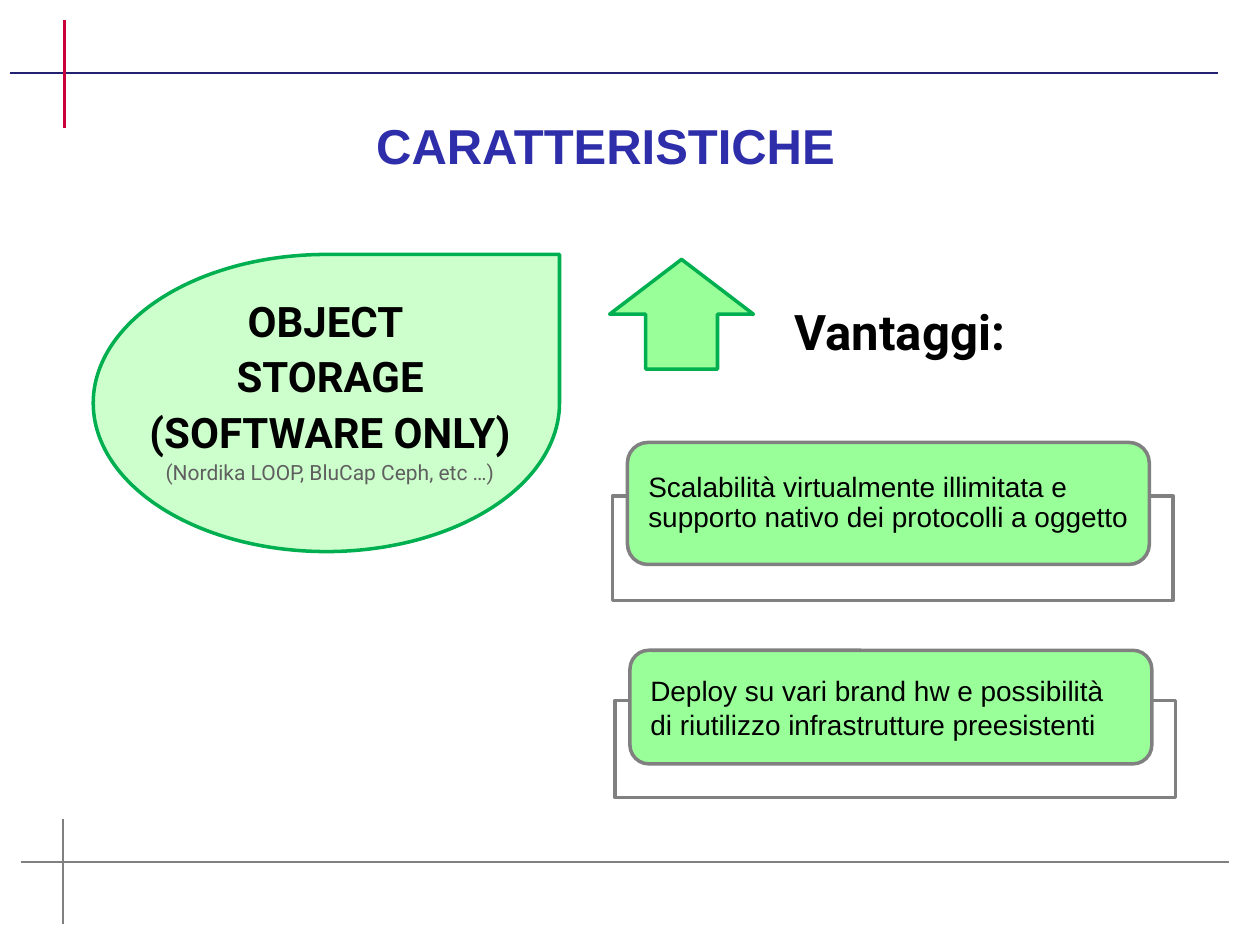
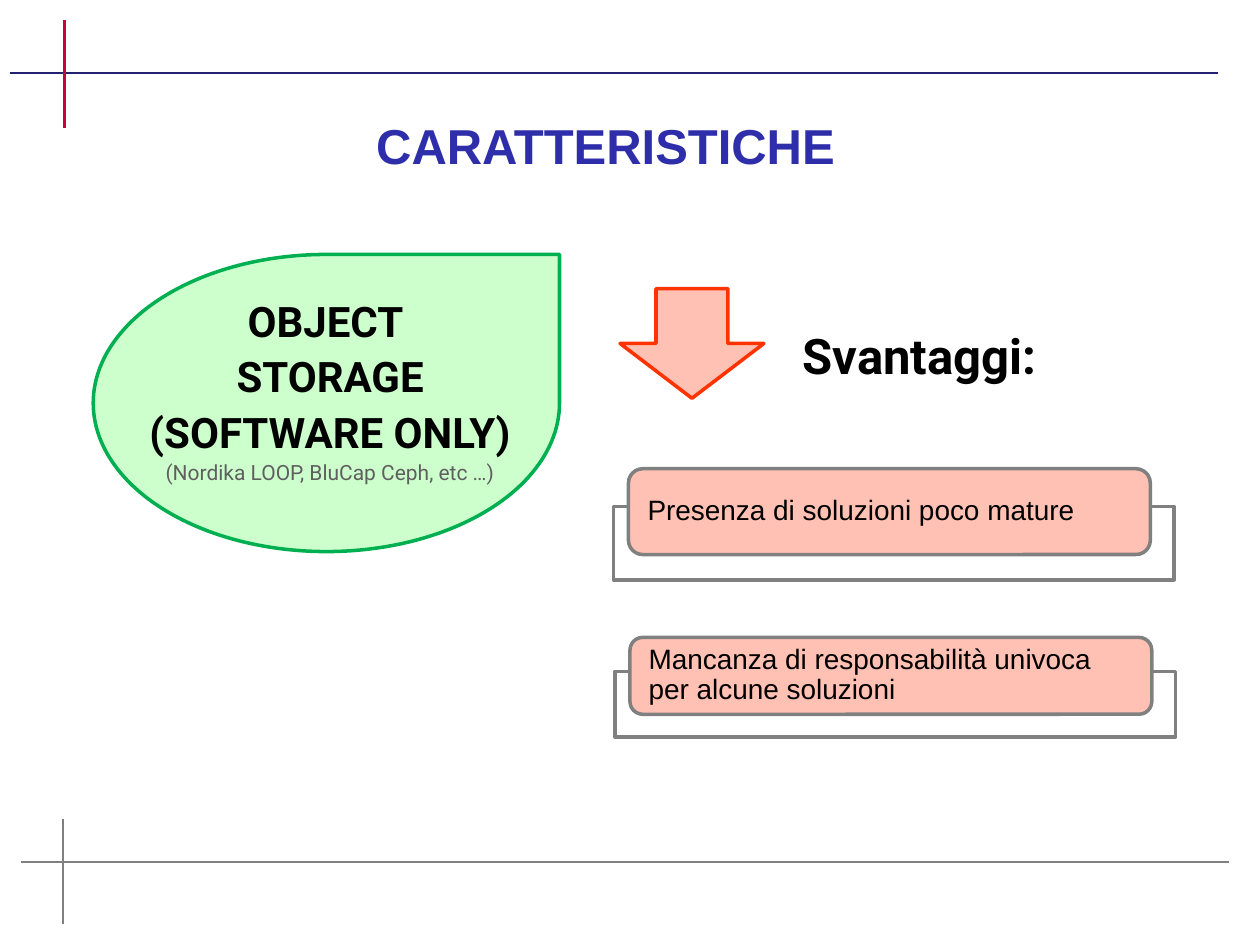
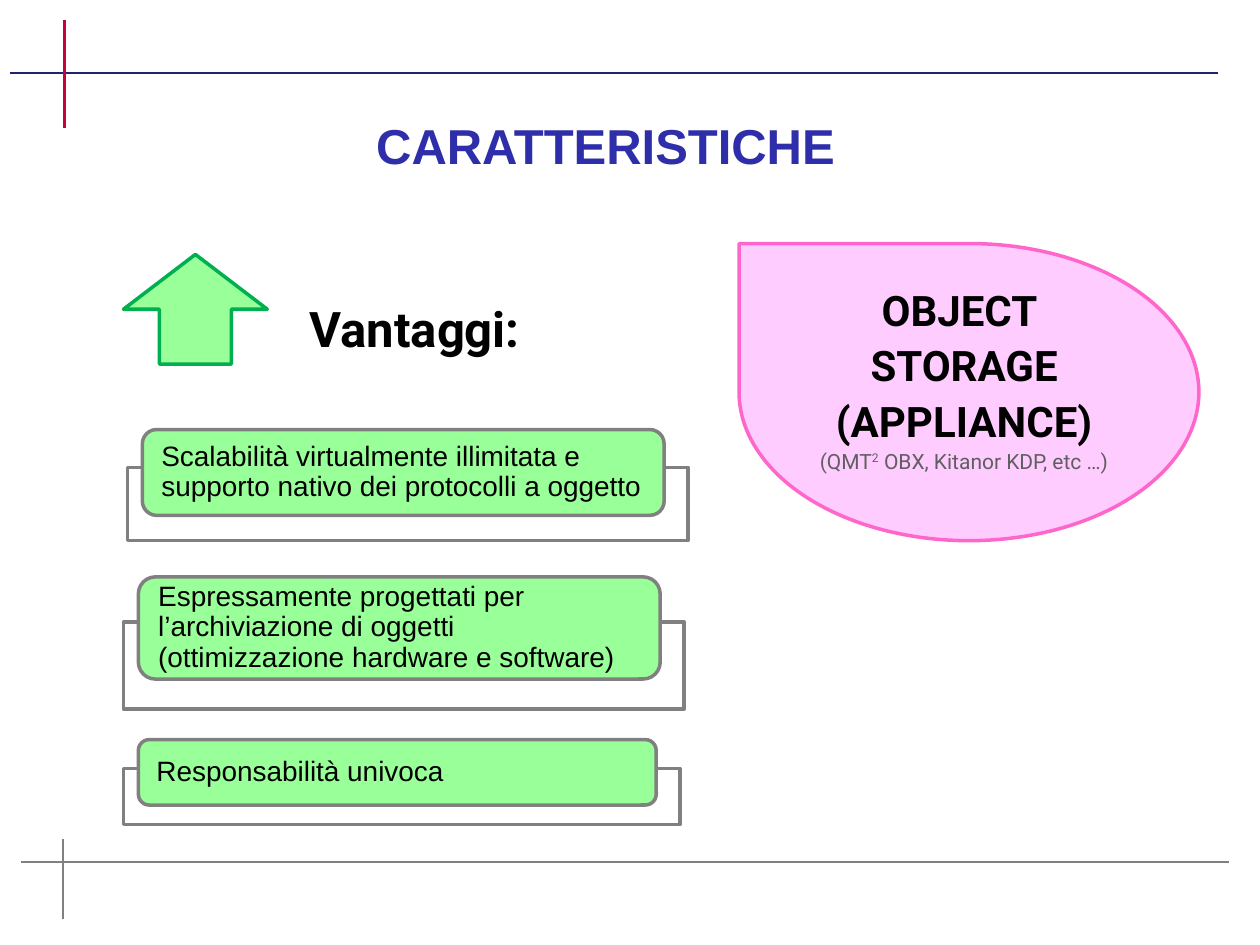
"""Build three slides on the strengths and weaknesses of object storage."""
from dataclasses import dataclass

from lxml.etree import SubElement
from pptx import Presentation
from pptx.dml.color import RGBColor
from pptx.enum.shapes import MSO_CONNECTOR, MSO_SHAPE
from pptx.enum.text import MSO_ANCHOR as Anchor, MSO_AUTO_SIZE as AutoSize, PP_ALIGN as Align
from pptx.oxml.ns import qn
from pptx.util import Cm, Pt

BLACK = RGBColor(0x00, 0x00, 0x00)
WHITE = RGBColor(0xFF, 0xFF, 0xFF)
GREY = RGBColor(0x80, 0x80, 0x80)
DARK_GREY = RGBColor(0x5F, 0x5F, 0x5F)
NAVY = RGBColor(0x25, 0x21, 0x72)
CRIMSON = RGBColor(0xC8, 0x01, 0x3A)
TITLE_BLUE = RGBColor(0x2E, 0x2E, 0xAA)
LIGHT_GREEN = RGBColor(0x99, 0xFF, 0x99)
PALE_GREEN = RGBColor(0xCC, 0xFF, 0xCC)
GREEN = RGBColor(0x00, 0xB0, 0x50)
SALMON = RGBColor(0xFF, 0xC1, 0xB3)
RED = RGBColor(0xFF, 0x33, 0x00)
PALE_PINK = RGBColor(0xFF, 0xCC, 0xFF)
PINK = RGBColor(0xFF, 0x66, 0xCC)

HEADING_FONT = "Roboto"
BODY_FONT = "Arial"
CARD_INSET = Cm(0.3)
FRAME_MARGIN = 0.3
FRAME_EXTRA_WIDTH = 0.78
FRAME_DROP = 0.44
FRAME_HEIGHT = 0.855


@dataclass(frozen=True)
class Rule:
    """A straight line, in centimetres."""
    x1: float
    y1: float
    x2: float
    y2: float
    color: RGBColor
    points: float


@dataclass(frozen=True)
class Drop:
    """A teardrop naming a product family; odd parts of makers are superscript."""
    left: float
    top: float
    width: float
    text_left: float
    fill: RGBColor
    line: RGBColor
    flipped: bool
    family: str
    makers: tuple[str, ...]


@dataclass(frozen=True)
class Verdict:
    """The look of an advantages or disadvantages column."""
    label: str
    arrow: MSO_SHAPE
    fill: RGBColor
    line: RGBColor


@dataclass(frozen=True)
class Card:
    """A rounded statement box with a frame behind it."""
    left: float
    top: float
    height: float
    text: str
    width: float = 10.52
    spacing: float = 0.9


@dataclass(frozen=True)
class Page:
    """The content of one slide."""
    drop: Drop
    verdict: Verdict
    arrow_at: tuple[float, float]
    label_at: tuple[float, float]
    cards: tuple[Card, ...]
    footer_span: tuple[float, float] = (16.51, 18.62)


RULES = (
    Rule(0.43, 17.37, 24.77, 17.37, GREY, 1.25),
    Rule(0.2, 1.47, 24.56, 1.47, NAVY, 1.5),
    Rule(1.3, 0.41, 1.3, 2.59, CRIMSON, 1.5),
)
SOFTWARE = Drop(1.88, 5.13, 9.4, 2.31, PALE_GREEN, GREEN, False,
                "STORAGE (SOFTWARE ONLY)", ("(Nordika LOOP, BluCap Ceph, etc …)",))
APPLIANCE = Drop(14.9, 4.91, 9.27, 15.09, PALE_PINK, PINK, True,
                 "STORAGE (APPLIANCE)", ("(QMT", "2", " OBX, Kitanor KDP, etc …)"))
PROS = Verdict("Vantaggi:", MSO_SHAPE.UP_ARROW, LIGHT_GREEN, GREEN)
CONS = Verdict("Svantaggi:", MSO_SHAPE.DOWN_ARROW, SALMON, RED)
SCALABILITY = "Scalabilità virtualmente illimitata e supporto nativo dei protocolli a oggetto"

PAGES = (
    Page(SOFTWARE, PROS, (12.29, 5.23), (14.99, 5.84), (
        Card(12.65, 8.92, 2.46, SCALABILITY),
        Card(12.7, 13.11, 2.29, "Deploy su vari brand hw e possibilità di riutilizzo "
             "infrastrutture preesistenti", spacing=1.0),
    )),
    Page(SOFTWARE, CONS, (12.5, 5.82), (15.39, 6.32), (
        Card(12.67, 9.45, 1.73, "Presenza di soluzioni poco mature"),
        Card(12.7, 12.85, 1.55, "Mancanza di responsabilità univoca per alcune soluzioni"),
    )),
    Page(APPLIANCE, PROS, (2.49, 5.13), (5.21, 5.77), (
        Card(2.87, 8.66, 1.73, SCALABILITY),
        Card(2.79, 11.63, 2.06, "Espressamente progettati per l’archiviazione di oggetti "
             "(ottimizzazione hardware e software)"),
        Card(2.79, 14.91, 1.32, "Responsabilità univoca", width=10.44),
    ), footer_span=(16.92, 18.52)),
)


def style_paragraph(para, font: str, size: float, color: RGBColor, bold: bool = False,
                    align: Align = Align.CENTER, spacing: float = 1.1) -> None:
    """Set the alignment, spacing and font of a paragraph."""
    para.alignment = align
    para.line_spacing = spacing
    para.font.name = font
    para.font.size = Pt(size)
    para.font.bold = bold
    para.font.color.rgb = color


def add_rule(slide, rule: Rule) -> None:
    """Draw a straight line without a shadow."""
    line = slide.shapes.add_connector(MSO_CONNECTOR.STRAIGHT, Cm(rule.x1), Cm(rule.y1),
                                      Cm(rule.x2), Cm(rule.y2))
    line.line.color.rgb = rule.color
    line.line.width = Pt(rule.points)
    SubElement(line._element.spPr, qn("a:effectLst"))


def add_block(slide, kind: MSO_SHAPE, left: float, top: float, width: float,
              height: float, fill: RGBColor, line: RGBColor):
    """Draw a filled and outlined preset shape."""
    block = slide.shapes.add_shape(kind, Cm(left), Cm(top), Cm(width), Cm(height))
    block.shadow.inherit = False
    block.fill.solid()
    block.fill.fore_color.rgb = fill
    block.line.color.rgb = line
    block.line.width = Pt(2)
    return block


def add_text_frame(slide, left: float, top: float, width: float, height: float):
    """Add a wrapping text box and return its text frame."""
    box = slide.shapes.add_textbox(Cm(left), Cm(top), Cm(width), Cm(height))
    box.text_frame.word_wrap = True
    return box.text_frame


def add_title(slide) -> None:
    """Place and format the shared slide title."""
    title = slide.shapes.title
    title.left, title.top, title.width, title.height = Cm(3.3), Cm(2.08), Cm(17.81), Cm(1.47)
    frame = title.text_frame
    frame.text = "CARATTERISTICHE"
    frame.auto_size = AutoSize.NONE
    frame.vertical_anchor = Anchor.TOP
    style_paragraph(frame.paragraphs[0], BODY_FONT, 28, TITLE_BLUE, bold=True)


def add_drop(slide, drop: Drop) -> None:
    """Draw the teardrop and the product family over it."""
    block = add_block(slide, MSO_SHAPE.TEAR, drop.left, drop.top, drop.width, 5.99,
                      drop.fill, drop.line)
    if drop.flipped:
        block._element.spPr.get_or_add_xfrm().set("flipH", "1")
    frame = add_text_frame(slide, drop.text_left, drop.top + 0.6, 8.69, 4.22)
    frame.text = f"OBJECT \n{drop.family}"
    for para in frame.paragraphs:
        style_paragraph(para, HEADING_FONT, 24, BLACK, bold=True)
    makers = frame.add_paragraph()
    style_paragraph(makers, HEADING_FONT, 12, DARK_GREY)
    for index, part in enumerate(drop.makers):
        span = makers.add_run()
        span.text = part
        if index % 2:
            span._r.get_or_add_rPr().set("baseline", "30000")


def add_verdict(slide, page: Page) -> None:
    """Draw the arrow and its label."""
    verdict = page.verdict
    add_block(slide, verdict.arrow, *page.arrow_at, 2.9, 2.21, verdict.fill, verdict.line)
    frame = add_text_frame(slide, *page.label_at, 6.3, 1.47)
    frame.text = verdict.label
    style_paragraph(frame.paragraphs[0], HEADING_FONT, 28, BLACK, bold=True)


def add_card(slide, card: Card, fill: RGBColor) -> None:
    """Draw a statement box in front of its frame."""
    add_block(slide, MSO_SHAPE.RECTANGLE, card.left - FRAME_MARGIN,
              card.top + FRAME_DROP * card.height, card.width + FRAME_EXTRA_WIDTH,
              FRAME_HEIGHT * card.height, WHITE, GREY)
    block = add_block(slide, MSO_SHAPE.ROUNDED_RECTANGLE, card.left, card.top,
                      card.width, card.height, fill, GREY)
    frame = block.text_frame
    frame.word_wrap = True
    frame.vertical_anchor = Anchor.MIDDLE
    frame.margin_left = frame.margin_right = CARD_INSET
    frame.margin_top = frame.margin_bottom = 0
    frame.text = card.text
    style_paragraph(frame.paragraphs[0], BODY_FONT, 16, BLACK, align=Align.LEFT,
                    spacing=card.spacing)


def add_page(deck, page: Page) -> None:
    """Add one slide with its shared lines, title and content."""
    slide = deck.slides.add_slide(deck.slide_layouts.get_by_name("Title Only"))
    top, bottom = page.footer_span
    for rule in (*RULES, Rule(1.27, top, 1.27, bottom, GREY, 1.25)):
        add_rule(slide, rule)
    add_title(slide)
    add_verdict(slide, page)
    for card in page.cards:
        add_card(slide, card, page.verdict.fill)
    add_drop(slide, page.drop)


def main() -> None:
    """Build and save the deck."""
    deck = Presentation()
    deck.slide_width, deck.slide_height = Cm(25.4), Cm(19.05)
    for page in PAGES:
        add_page(deck, page)
    deck.save("out.pptx")


if __name__ == "__main__":
    main()
